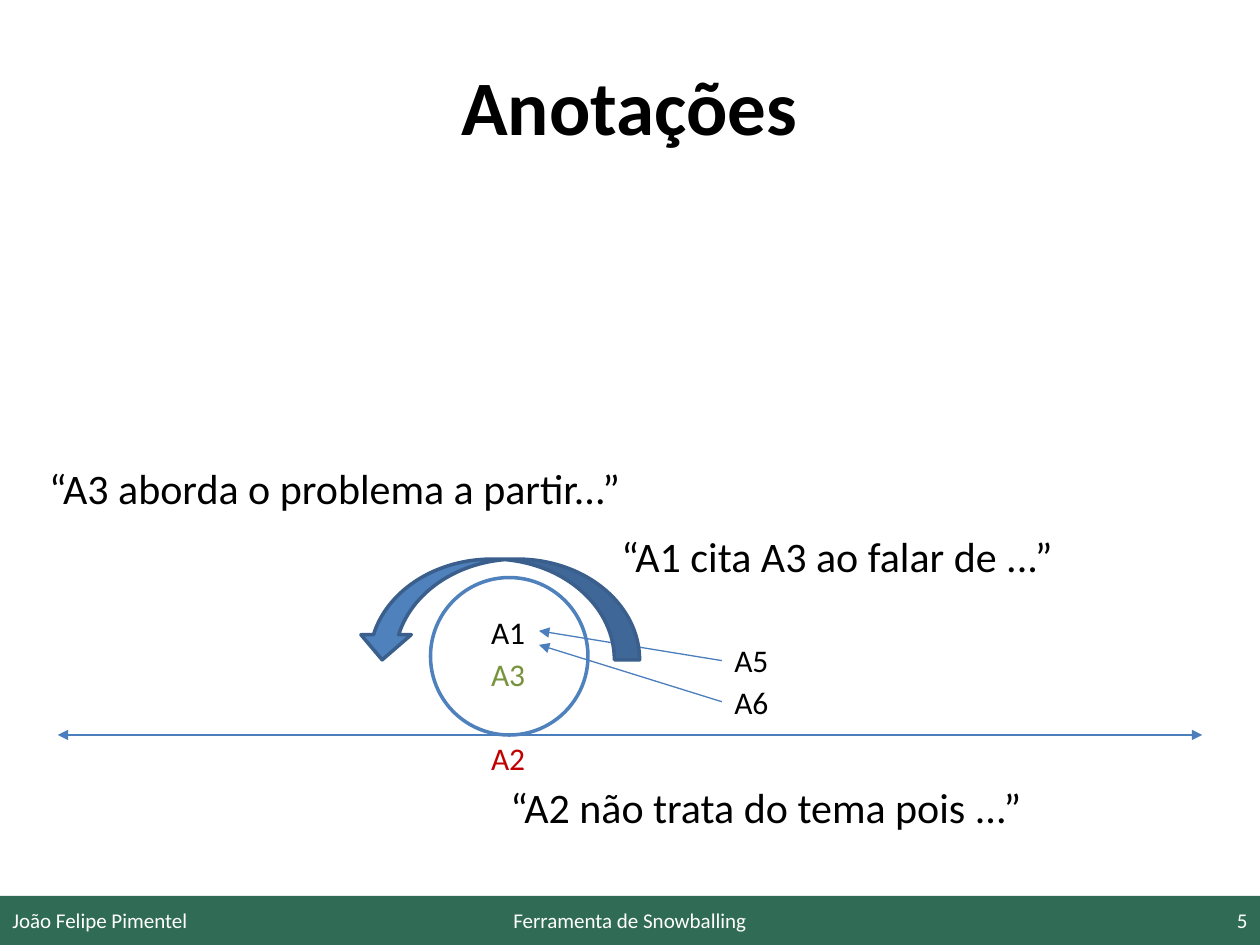
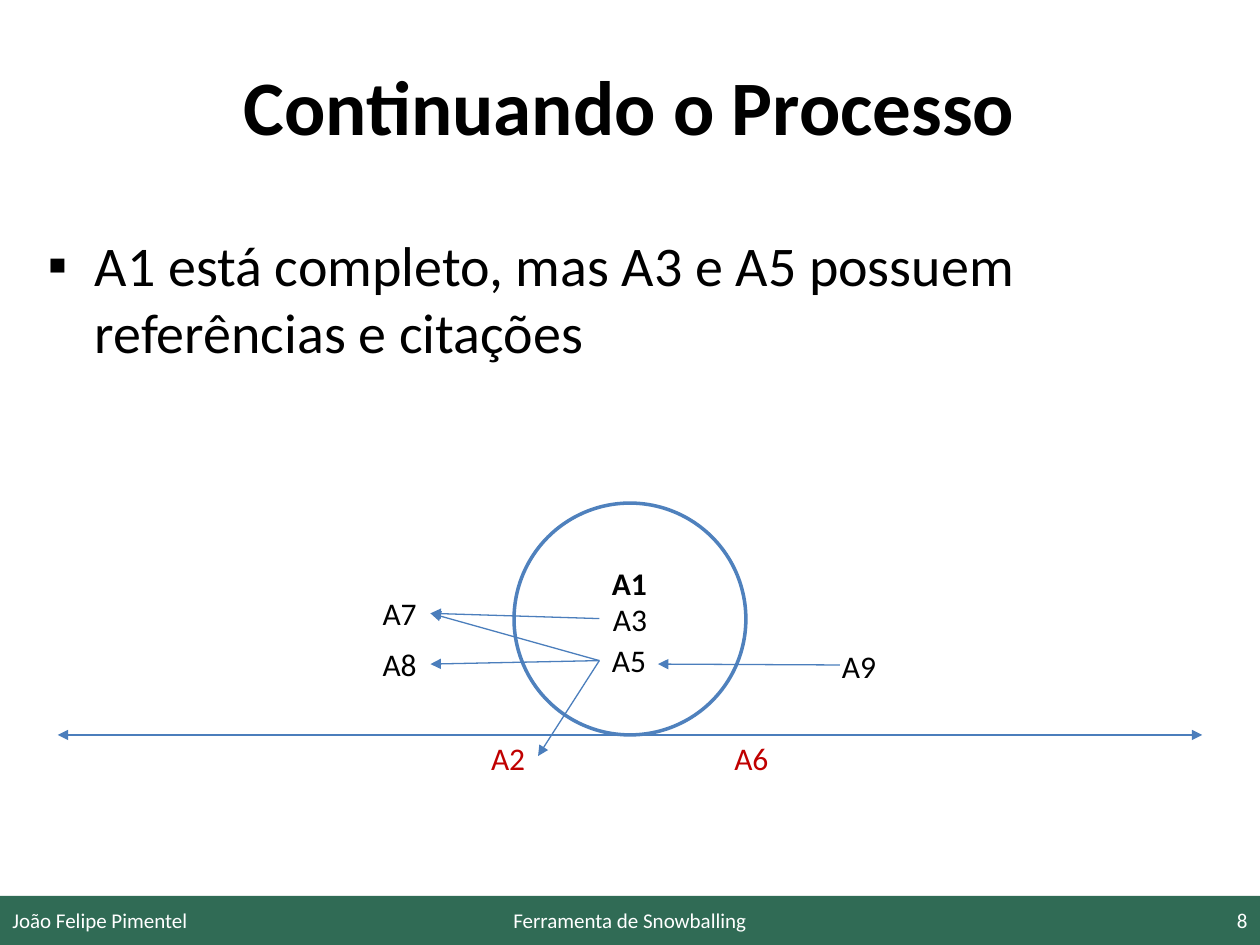
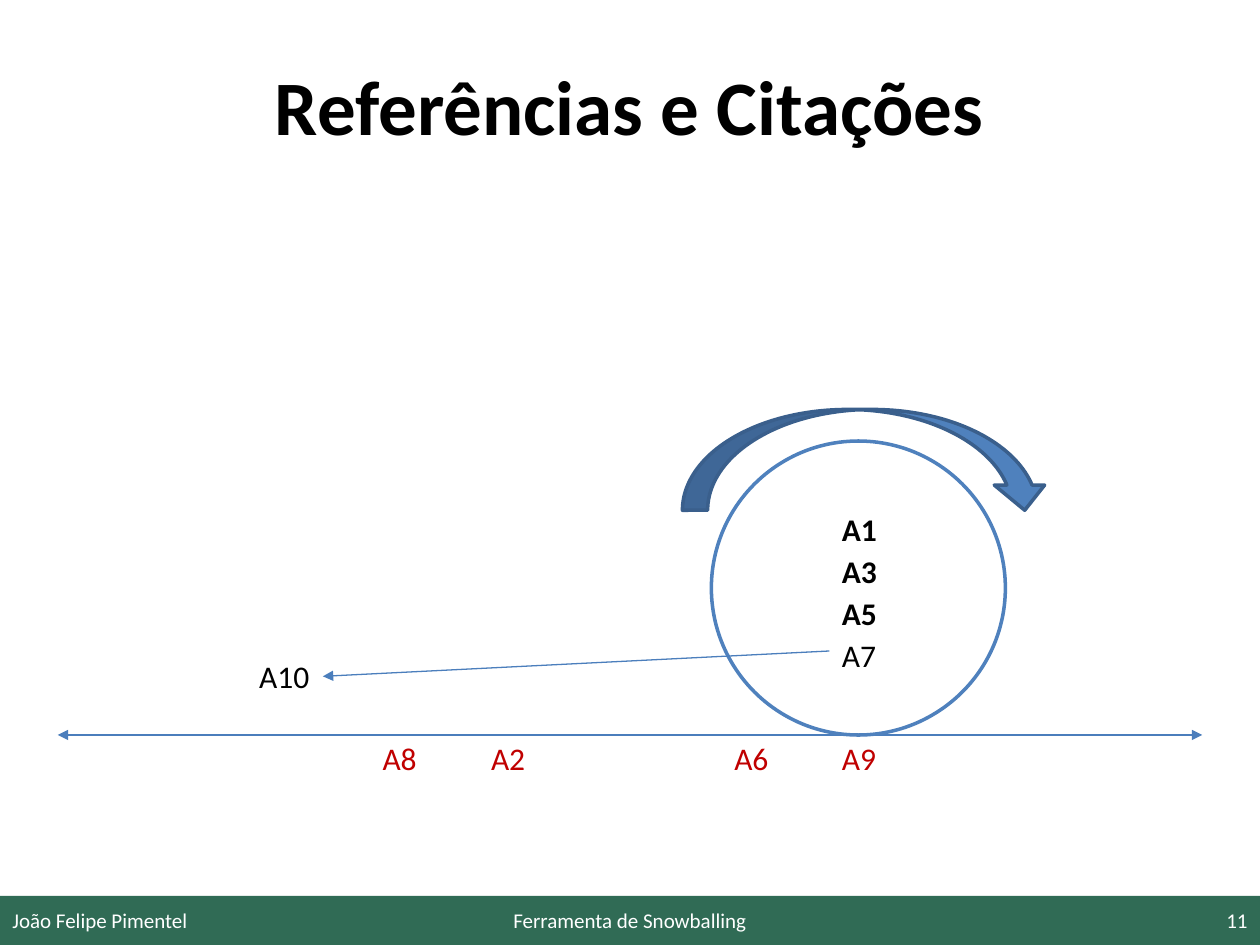
from dataclasses import dataclass

from lxml import etree
from pptx import Presentation
from pptx import slide as sl
from pptx import util as u
from pptx.dml import color as col
from pptx.enum import shapes, text
from pptx.oxml import ns

Pt = u.Pt
FONT = "Calibri"
HEX = {
    "black": "000000", "white": "FFFFFF", "band": "306B55", "line": "4B7EBC",
    "blue": "4F81BD", "edge": "3A5F8C", "red": "C00000", "green": "77933C",
}
ALIGN = text.PP_ALIGN
MID = text.MSO_ANCHOR.MIDDLE
WIDE, HIGH = 720, 540
AXIS = 420
BAND = 512
COLS = {"A8": 211.5, "A2": 273.5, "A6": 412.5, "A9": 474}


@dataclass(frozen=True)
class Label:
    text: str
    x: float
    y: float
    w: float = 34.5
    size: int = 18
    tone: str = "black"
    bold: bool = False


@dataclass(frozen=True)
class Link:
    x1: float
    y1: float
    x2: float
    y2: float
    both: bool = False


@dataclass(frozen=True)
class Ball:
    mid: float
    size: float
    text: str = ""


@dataclass(frozen=True)
class Turn:
    x: float
    y: float
    w: float
    flip: bool = False


@dataclass(frozen=True)
class Page:
    num: int
    title: str
    ball: Ball
    links: list[Link]
    labels: list[Label]
    out: list[str]
    turn: Turn | None = None
    body: str = ""


def rgb(tone: str) -> col.RGBColor:
    return col.RGBColor.from_string(HEX[tone])


def style(para, size: int, tone: str, bold: bool = False, align=ALIGN.LEFT) -> None:
    para.alignment = align
    font = para.font
    font.name, font.size, font.bold = FONT, Pt(size), bold
    font.color.rgb = rgb(tone)


def place(item, x: float, y: float, w: float, h: float) -> None:
    item.left, item.top, item.width, item.height = Pt(x), Pt(y), Pt(w), Pt(h)


def add_form(page: sl.Slide, kind, x: float, y: float, w: float, h: float,
             fill: str, edge: str = ""):
    form = page.shapes.add_shape(kind, Pt(x), Pt(y), Pt(w), Pt(h))
    form.shadow.inherit = False
    form.fill.solid()
    form.fill.fore_color.rgb = rgb(fill)
    if edge:
        form.line.color.rgb = rgb(edge)
        form.line.width = Pt(2)
    else:
        form.line.fill.background()
    return form


def add_label(page: sl.Slide, lab: Label) -> None:
    box = page.shapes.add_textbox(Pt(lab.x), Pt(lab.y), Pt(lab.w), Pt(lab.size * 1.2 + 7.2))
    frame = box.text_frame
    frame.word_wrap = False
    frame.auto_size = text.MSO_AUTO_SIZE.SHAPE_TO_FIT_TEXT
    frame.text = lab.text
    style(frame.paragraphs[0], lab.size, lab.tone, lab.bold)


def add_link(page: sl.Slide, link: Link) -> None:
    wire = page.shapes.add_connector(shapes.MSO_CONNECTOR.STRAIGHT, Pt(link.x1),
                                     Pt(link.y1), Pt(link.x2), Pt(link.y2))
    wire.line.color.rgb = rgb("line")
    wire.line.width = Pt(0.75)
    line = wire.line._get_or_add_ln()
    for end in ("headEnd", "tailEnd") if link.both else ("tailEnd",):
        etree.SubElement(line, ns.qn(f"a:{end}"), type="triangle")
    etree.SubElement(wire._element.spPr, ns.qn("a:effectLst"))


def add_ball(page: sl.Slide, ball: Ball) -> None:
    """Draw a circle that rests on the axis."""
    form = add_form(page, shapes.MSO_SHAPE.OVAL, ball.mid - ball.size / 2,
                    AXIS - ball.size, ball.size, ball.size, "white", "blue")
    if ball.text:
        form.text_frame.text = ball.text
        style(form.text_frame.paragraphs[0], 18, "black", align=ALIGN.CENTER)


def add_turn(page: sl.Slide, turn: Turn) -> None:
    form = add_form(page, shapes.MSO_SHAPE.CURVED_DOWN_ARROW, turn.x, turn.y,
                    turn.w, 57.6, "blue", "edge")
    if turn.flip:
        form._element.spPr.xfrm.set("flipH", "1")


def add_foot(page: sl.Slide, num: int) -> None:
    add_form(page, shapes.MSO_SHAPE.RECTANGLE, 0, BAND, WIDE, HIGH - BAND, "band")
    for words, x, w, align in (
        ("João Felipe Pimentel", 0, 168, ALIGN.LEFT),
        ("Ferramenta de Snowballing", 246, 228, ALIGN.CENTER),
        (str(num), 552, 168, ALIGN.RIGHT),
    ):
        box = page.shapes.add_textbox(Pt(x), Pt(511.25), Pt(w), Pt(28.75))
        frame = box.text_frame
        frame.word_wrap = True
        frame.vertical_anchor = MID
        frame.text = words
        style(frame.paragraphs[0], 12, "white", align=align)


def set_title(page: sl.Slide, words: str) -> None:
    head = page.shapes.title
    place(head, 72, 15, 575.5, 90)
    head.text_frame.vertical_anchor = MID
    head.text_frame.text = words
    style(head.text_frame.paragraphs[0], 44, "black", True, ALIGN.CENTER)


def set_body(page: sl.Slide, words: str) -> None:
    body = page.placeholders[1]
    place(body, 20, 128, 680.5, 363)
    body.text_frame.text = words
    para = body.text_frame.paragraphs[0]
    props = para._p.get_or_add_pPr()
    props.set("marL", str(Pt(27)))
    props.set("indent", str(Pt(-27)))
    etree.SubElement(props, ns.qn("a:buFont"), typeface="Arial")
    etree.SubElement(props, ns.qn("a:buChar"), char="▪")
    style(para, 32, "black")


def add_page(deck, page: Page) -> None:
    slide = deck.slides.add_slide(deck.slide_layouts[1 if page.body else 5])
    set_title(slide, page.title)
    if page.body:
        set_body(slide, page.body)
    add_foot(slide, page.num)
    add_link(slide, Link(33, AXIS, 687, AXIS, both=True))
    add_ball(slide, page.ball)
    for link in page.links:
        add_link(slide, link)
    if page.turn:
        add_turn(slide, page.turn)
    gone = [Label(name, COLS[name], 419, tone="red") for name in page.out]
    for lab in page.labels + gone:
        add_label(slide, lab)


PAGES = [
    Page(
        5, "Anotações", Ball(291, 90),
        [Link(412.5, 377.5, 308, 360.5), Link(412.5, 401, 308, 368.5)],
        [
            Label("A5", 412.5, 363),
            Label("A6", 412.5, 386.5),
            Label("A1", 273.5, 346.5),
            Label("A3", 273.5, 371, tone="green"),
            Label("“A2 não trata do tema pois ...”", 284.5, 443, 309, 24),
            Label("“A3 aborda o problema a partir...”", 21, 260.5, 344, 24),
            Label("“A1 cita A3 ao falar de ...”", 348, 299.5, 263, 24),
        ],
        ["A2"], Turn(204, 319.5, 161.5, flip=True),
    ),
    Page(
        8, "Continuando o Processo", Ball(360, 132.5, "A3"),
        [
            Link(342.5, 377.5, 307.5, 432),
            Link(342.5, 353.5, 246, 350.5),
            Link(342.5, 377.5, 246, 379.5),
            Link(342.5, 377.5, 246, 350.5),
            Link(480, 380, 376, 379.5),
        ],
        [
            Label("A5", 342.5, 363),
            Label("A1", 342.5, 318.5, bold=True),
            Label("A7", 211.5, 336),
            Label("A8", 211.5, 365),
            Label("A9", 474, 366),
        ],
        ["A2", "A6"],
        body="A1 está completo, mas A3 e A5 possuem referências e citações",
    ),
    Page(
        11, "Referências e Citações", Ball(490.5, 168),
        [Link(474, 372, 184.5, 386.5)],
        [Label(name, 474, 288 + 24 * row, bold=name != "A7")
         for row, name in enumerate(("A1", "A3", "A5", "A7"))]
        + [Label("A10", 141, 372, 43)],
        ["A8", "A2", "A6", "A9"], Turn(390, 234, 210),
    ),
]


def main() -> None:
    deck = Presentation()
    deck.slide_width, deck.slide_height = Pt(WIDE), Pt(HIGH)
    for page in PAGES:
        add_page(deck, page)
    deck.save("out.pptx")


if __name__ == "__main__":
    main()
